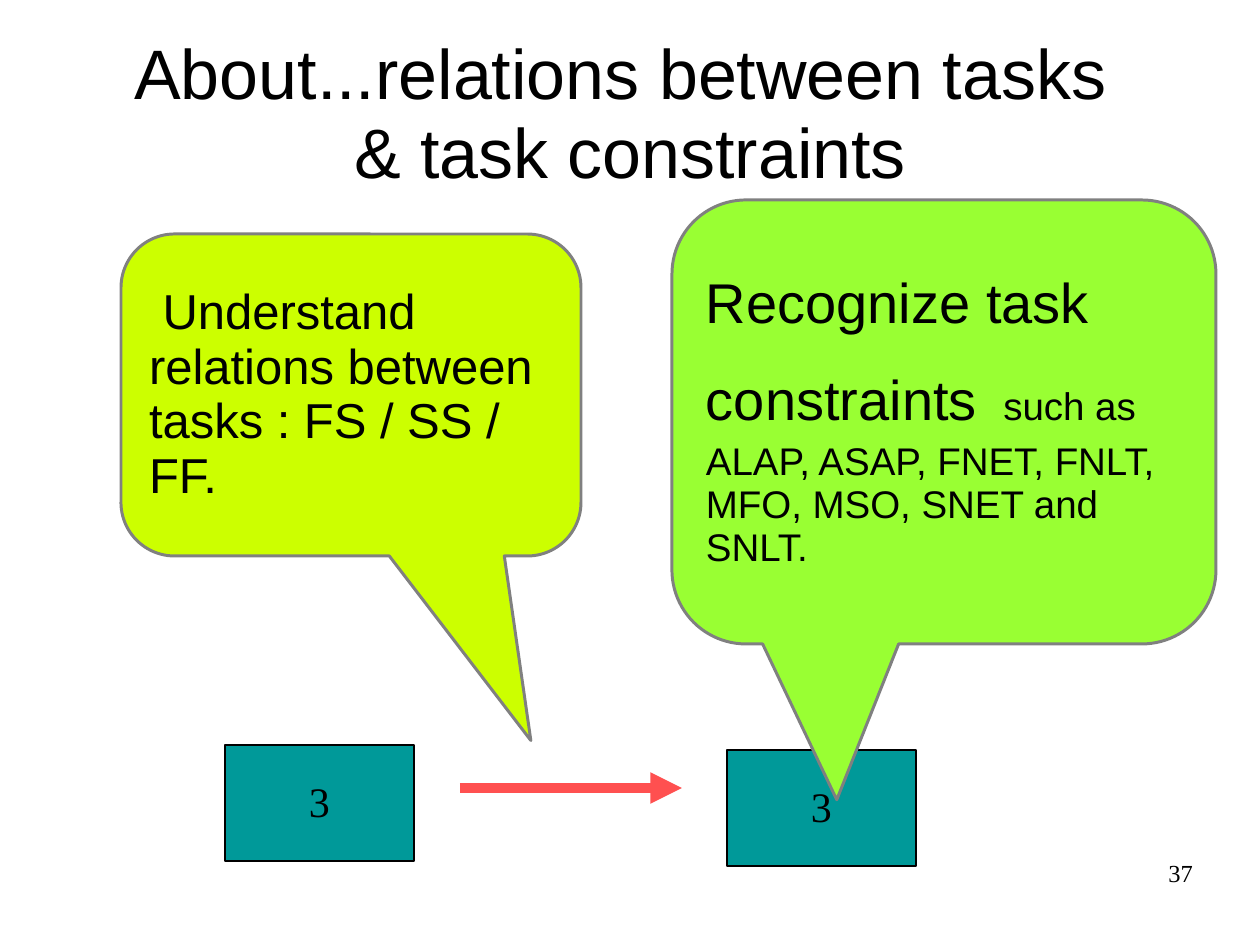
from lxml.etree import SubElement
from pptx import Presentation
from pptx.dml.color import RGBColor
from pptx.enum.shapes import MSO_CONNECTOR as Connector, MSO_SHAPE as Shape
from pptx.enum.text import MSO_ANCHOR as Anchor, PP_ALIGN as Align
from pptx.oxml.ns import qn
from pptx.util import Pt

EMU_PER_PX = 914400 / 126
SANS, SERIF = "Arial", "Times New Roman"


def px(length):
    return round(length * EMU_PER_PX)


def paint(color_format, color):
    color_format.rgb = RGBColor.from_string(color)


def style(paragraph, font, size, align=Align.LEFT, spacing=0.93):
    paragraph.alignment = align
    paragraph.line_spacing = spacing
    paragraph.font.name = font
    paragraph.font.size = Pt(size)
    paint(paragraph.font.color, "000000")


def add_label(slide, box, text, font, size, align, spacing=0.93, inset=(0, 0)):
    label = slide.shapes.add_textbox(*map(px, box))
    frame = label.text_frame
    frame.word_wrap = True
    frame.margin_left = frame.margin_right = px(inset[0])
    frame.margin_top = frame.margin_bottom = px(inset[1])
    frame.text = text
    style(frame.paragraphs[0], font, size, align, spacing)
    return frame


def add_filled(slide, kind, box, fill, line, width):
    filled = slide.shapes.add_shape(kind, *map(px, box))
    filled.shadow.inherit = False
    filled.fill.solid()
    paint(filled.fill.fore_color, fill)
    paint(filled.line.color, line)
    filled.line.width = Pt(width)
    filled.text_frame.vertical_anchor = Anchor.MIDDLE
    return filled


def add_task(slide, left, top, duration):
    task = add_filled(slide, Shape.RECTANGLE, (left, top, 189, 116), "009999", "000000", 0.75)
    frame = task.text_frame
    frame.word_wrap = False
    frame.text = duration
    style(frame.paragraphs[0], SERIF, 24, Align.CENTER, 0.94)


def add_callout(slide, box, fill, pointer, size, paragraphs):
    callout = add_filled(slide, Shape.ROUNDED_RECTANGULAR_CALLOUT, box, fill, "808080", 1.7)
    callout.adjustments[0], callout.adjustments[1] = pointer
    frame = callout.text_frame
    frame.word_wrap = True
    for index, pieces in enumerate(paragraphs):
        paragraph = frame.add_paragraph() if index else frame.paragraphs[0]
        style(paragraph, SANS, size)
        for text, piece_size in pieces:
            run = paragraph.add_run()
            run.text = text
            if piece_size != size:
                run.font.size = Pt(piece_size)


def add_arrow(slide, start, end, color, width):
    arrow = slide.shapes.add_connector(Connector.STRAIGHT, *map(px, start + end))
    paint(arrow.line.color, color)
    arrow.line.width = Pt(width)
    SubElement(arrow.line._get_or_add_ln(), qn("a:tailEnd"), type="triangle")
    SubElement(arrow._element.spPr, qn("a:effectLst"))


def main():
    deck = Presentation()
    deck.slide_width, deck.slide_height = px(1260), px(945)
    slide = deck.slides.add_slide(deck.slide_layouts[6])

    title = add_label(slide, (63, 25, 1134, 181),
                      "About...relations between tasks \v& task constraints",
                      SANS, 40, Align.CENTER, 0.94, (13, 6))
    title.vertical_anchor = Anchor.MIDDLE

    add_task(slide, 727, 750, "3")
    add_task(slide, 225, 745, "3")
    add_callout(slide, (672, 200, 544, 444), "99FF33", (-0.197, 0.851), 32, [
        [("Recognize task", 32)],
        [("constraints", 32), (" ", 54),
         ("such as ALAP, ASAP, FNET, FNLT, MFO, MSO, SNET and SNLT.", 22)],
    ])
    add_callout(slide, (121, 234, 460, 322), "CCFF00", (0.391, 1.073), 28, [
        [(" Understand relations between tasks : FS / SS / FF.", 28)],
    ])
    add_arrow(slide, (460, 788), (682, 788), "FF5050", 6)
    add_label(slide, (903, 861, 290, 62), "37", SERIF, 14, Align.RIGHT)

    deck.save("out.pptx")


if __name__ == "__main__":
    main()
